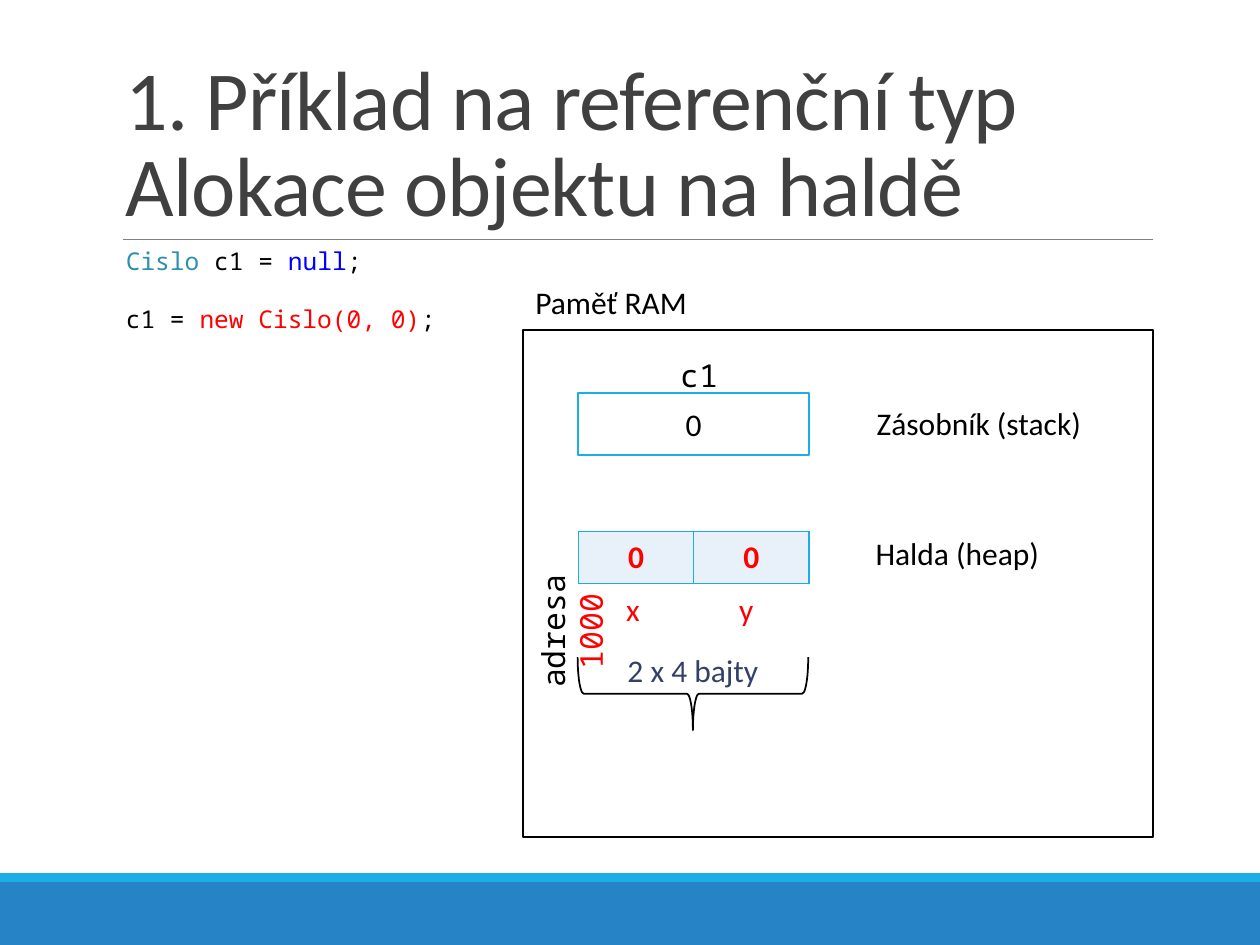
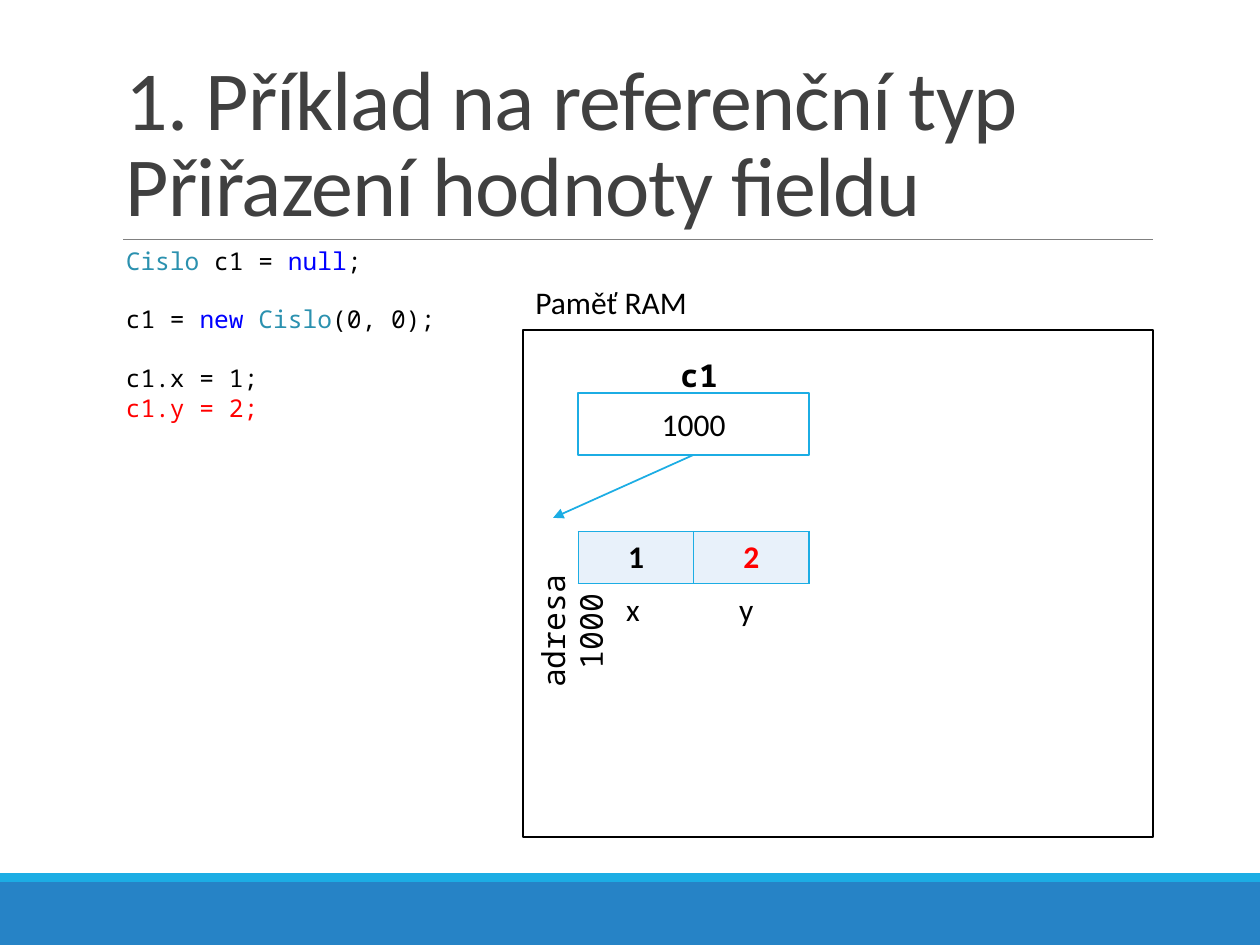
from lxml.etree import SubElement
from pptx import Presentation
from pptx.dml.color import RGBColor
from pptx.enum.shapes import MSO_CONNECTOR, MSO_SHAPE
from pptx.enum.text import MSO_ANCHOR, MSO_AUTO_SIZE, PP_ALIGN
from pptx.oxml.ns import qn
from pptx.util import Inches, Pt

COLORS = {
    "white": "FFFFFF", "black": "000000", "red": "FF0000",
    "band": "2683C6", "accent": "1CADE4", "rule": "808080",
    "title": "404040", "cell": "E8F1FA", "size": "344068",
    "type": "2B91AF", "keyword": "0000FF",
}
BODY, MONO = "Calibri", "Noto Sans Mono"
COLUMNS, ROWS = 100, 75  # square grid over the slide
CODE_GAP = 16.8  # one line of code, in points

# Memory diagram, in grid units
RAM_LEFT, RAM_TOP, RAM_WIDTH, RAM_HEIGHT = 41.5, 26.2, 50, 40.2
BLOCK_LEFT, BLOCK_WIDTH = 45.9, 18.3
STACK_TOP, STACK_HEIGHT = 31.2, 4.9
HEAP_TOP, HEAP_HEIGHT = 42.2, 4.1
LABEL_HEIGHT = 4

DECLARATION = [("Cislo", "type"), (" c1 = ", "black"), ("null", "keyword"), (";", "black")]


def grid(*units):
    """Turn grid units into lengths."""
    return [Inches(unit * 10 / COLUMNS) for unit in units]


def color(name):
    """Look up a palette colour."""
    return RGBColor.from_string(COLORS[name])


def write(frame, paragraphs, size=18, font=BODY, bold=False, align=PP_ALIGN.LEFT,
          line_spacing=None, tracking=None, gaps=()):
    """Write paragraphs of (text, colour) runs; gaps lists paragraphs set apart."""
    for index, runs in enumerate(paragraphs):
        paragraph = frame.paragraphs[0] if index == 0 else frame.add_paragraph()
        paragraph.alignment = align
        if line_spacing:
            paragraph.line_spacing = line_spacing
        if index in gaps:
            paragraph.space_before = Pt(CODE_GAP)
        for text, name in runs:
            for line_number, line in enumerate(text.split("\n")):
                if line_number:
                    paragraph.add_line_break()
                run = paragraph.add_run()
                run.text = line
                run.font.name, run.font.size, run.font.bold = font, Pt(size), bold
                run.font.color.rgb = color(name)
                if tracking:
                    run.font._element.set("spc", str(tracking))


def add_text(slide, area, paragraphs, anchor=MSO_ANCHOR.TOP, grow=True, **text_format):
    """Add a wrapped text box."""
    shape = slide.shapes.add_textbox(*grid(*area))
    frame = shape.text_frame
    frame.word_wrap = True
    frame.vertical_anchor = anchor
    frame.auto_size = MSO_AUTO_SIZE.SHAPE_TO_FIT_TEXT if grow else MSO_AUTO_SIZE.NONE
    write(frame, paragraphs, **text_format)
    return shape


def add_figure(slide, kind, area, fill=None, line=None, width=1.25):
    """Add a preset shape without shadow."""
    shape = slide.shapes.add_shape(kind, *grid(*area))
    shape.shadow.inherit = False
    if fill:
        shape.fill.solid()
        shape.fill.fore_color.rgb = color(fill)
    else:
        shape.fill.background()
    if line:
        shape.line.color.rgb = color(line)
        shape.line.width = Pt(width)
    else:
        shape.line.fill.background()
    return shape


def add_line(slide, start, end, name, width, arrow=False):
    """Add a straight line, with an arrowhead at its end if wanted."""
    connector = slide.shapes.add_connector(MSO_CONNECTOR.STRAIGHT, *grid(*start, *end))
    connector.line.color.rgb = color(name)
    connector.line.width = Pt(width)
    if arrow:
        SubElement(connector.line._get_or_add_ln(), qn("a:tailEnd"), type="triangle")
    SubElement(connector._element.spPr, qn("a:effectLst"))


def add_border(cell, name):
    """Draw all four borders of a table cell."""
    properties = cell._tc.get_or_add_tcPr()
    for side in ("lnL", "lnR", "lnT", "lnB"):
        line = SubElement(properties, qn(f"a:{side}"), w=str(Pt(1)))
        fill = SubElement(line, qn("a:solidFill"))
        SubElement(fill, qn("a:srgbClr"), val=COLORS[name])


def add_heap_object(slide, values):
    """Add the table with the field values of the object."""
    area = grid(BLOCK_LEFT, HEAP_TOP, BLOCK_WIDTH, HEAP_HEIGHT)
    table = slide.shapes.add_table(1, len(values), *area).table
    table.first_row = table.horz_banding = False
    for cell, value in zip(table.rows[0].cells, values):
        add_border(cell, "accent")
        cell.fill.solid()
        cell.fill.fore_color.rgb = color("cell")
        write(cell.text_frame, [[value]], bold=True, align=PP_ALIGN.CENTER)


def add_field_names(slide, name):
    """Label the two fields, centred by tab stops."""
    shape = add_text(slide, (BLOCK_LEFT, HEAP_TOP + HEAP_HEIGHT, BLOCK_WIDTH, LABEL_HEIGHT),
                     [[("\tx\ty", name)]])
    properties = shape.text_frame.paragraphs[0]._p.get_or_add_pPr()
    stops = SubElement(properties, qn("a:tabLst"))
    for position in grid(3.35, 12.35):
        SubElement(stops, qn("a:tab"), pos=str(position), algn="ctr")


def add_size_brace(slide):
    """Add the brace that tells the size of the object."""
    brace = add_figure(slide, MSO_SHAPE.LEFT_BRACE, (52.1, 45.9, 5.8, BLOCK_WIDTH),
                       line="black", width=1)
    brace.rotation = 270
    frame = brace.text_frame
    frame.vertical_anchor = MSO_ANCHOR.MIDDLE
    frame._txBody.bodyPr.set("vert", "vert")
    write(frame, [[("2 x 4 bajty", "size")]], align=PP_ALIGN.CENTER)


def add_base(presentation, title):
    """Start a slide with bands, rule, memory frame and title."""
    slide = presentation.slides.add_slide(presentation.slide_layouts[6])
    add_figure(slide, MSO_SHAPE.RECTANGLE, (0, 70, COLUMNS, 5), "band")
    add_figure(slide, MSO_SHAPE.RECTANGLE, (0, 69.3, COLUMNS, 0.7), "accent")
    add_line(slide, (9.8, 19), (91.5, 19), "rule", 0.5)
    add_figure(slide, MSO_SHAPE.RECTANGLE, (RAM_LEFT, RAM_TOP, RAM_WIDTH, RAM_HEIGHT),
               "white", "black")
    add_text(slide, (9, 3.1, 82.5, 15.9), [[(title, "title")]], anchor=MSO_ANCHOR.BOTTOM,
             grow=False, size=48, line_spacing=0.85, tracking=-50)
    add_text(slide, (RAM_LEFT, 22, 18.6, LABEL_HEIGHT), [[("Paměť RAM", "black")]])
    return slide


def add_stack_variable(slide, value, bold):
    """Add the box of variable c1 with its name above."""
    box = add_figure(slide, MSO_SHAPE.RECTANGLE,
                     (BLOCK_LEFT, STACK_TOP, BLOCK_WIDTH, STACK_HEIGHT), "white", "accent")
    box.text_frame.vertical_anchor = MSO_ANCHOR.MIDDLE
    write(box.text_frame, [[(value, "black")]], align=PP_ALIGN.CENTER)
    add_text(slide, (53, 27.8, 5.4, LABEL_HEIGHT), [[("c1", "black")]], font=MONO, bold=bold)


def add_code(slide, height, lines, gaps):
    """Add the program lines under the title."""
    add_text(slide, (9, 19, 31.2, height), lines, size=14, font=MONO, gaps=gaps)


def add_address(slide, runs):
    """Add the upright address label beside the object."""
    label = add_text(slide, (34.8, 48.1, 18.1, LABEL_HEIGHT), [runs],
                     font=MONO, align=PP_ALIGN.CENTER)
    label.rotation = 270


def build_allocation(presentation):
    """Slide: the object is allocated on the heap."""
    slide = add_base(presentation, "1. Příklad na referenční typ\nAlokace objektu na haldě")
    add_stack_variable(slide, "0", bold=False)
    add_code(slide, 8.1, [
        DECLARATION,
        [("c1 = ", "black"), ("new Cislo(0, 0)", "red"), (";", "black")],
    ], gaps=(1,))
    add_heap_object(slide, [("0", "red"), ("0", "red")])
    add_size_brace(slide)
    add_text(slide, (68.6, 31.6, 21, LABEL_HEIGHT), [[("Zásobník (stack)", "black")]])
    add_text(slide, (68.5, 41.9, 17.8, LABEL_HEIGHT), [[("Halda (heap)", "black")]])
    add_field_names(slide, "red")
    add_address(slide, [("adresa", "black"), (" 1000", "red")])


def build_assignment(presentation):
    """Slide: values are assigned to the fields."""
    slide = add_base(presentation, "1. Příklad na referenční typ\nPřiřazení hodnoty fieldu")
    add_stack_variable(slide, "1000", bold=True)
    add_code(slide, 15.1, [
        DECLARATION,
        [("c1 = ", "black"), ("new ", "keyword"), ("Cislo", "type"), ("(0, 0);", "black")],
        [("c1.x = 1;", "black")],
        [("c1.y = 2;", "red")],
    ], gaps=(1, 2))
    add_heap_object(slide, [("1", "black"), ("2", "red")])
    add_line(slide, (BLOCK_LEFT + BLOCK_WIDTH / 2, STACK_TOP + STACK_HEIGHT), (43.9, 41.1),
             "accent", 1, arrow=True)
    add_field_names(slide, "black")
    add_address(slide, [("adresa 1000", "black")])


def main():
    """Build and save the presentation."""
    presentation = Presentation()
    presentation.slide_width, presentation.slide_height = grid(COLUMNS, ROWS)
    build_allocation(presentation)
    build_assignment(presentation)
    presentation.save("out.pptx")


main()
